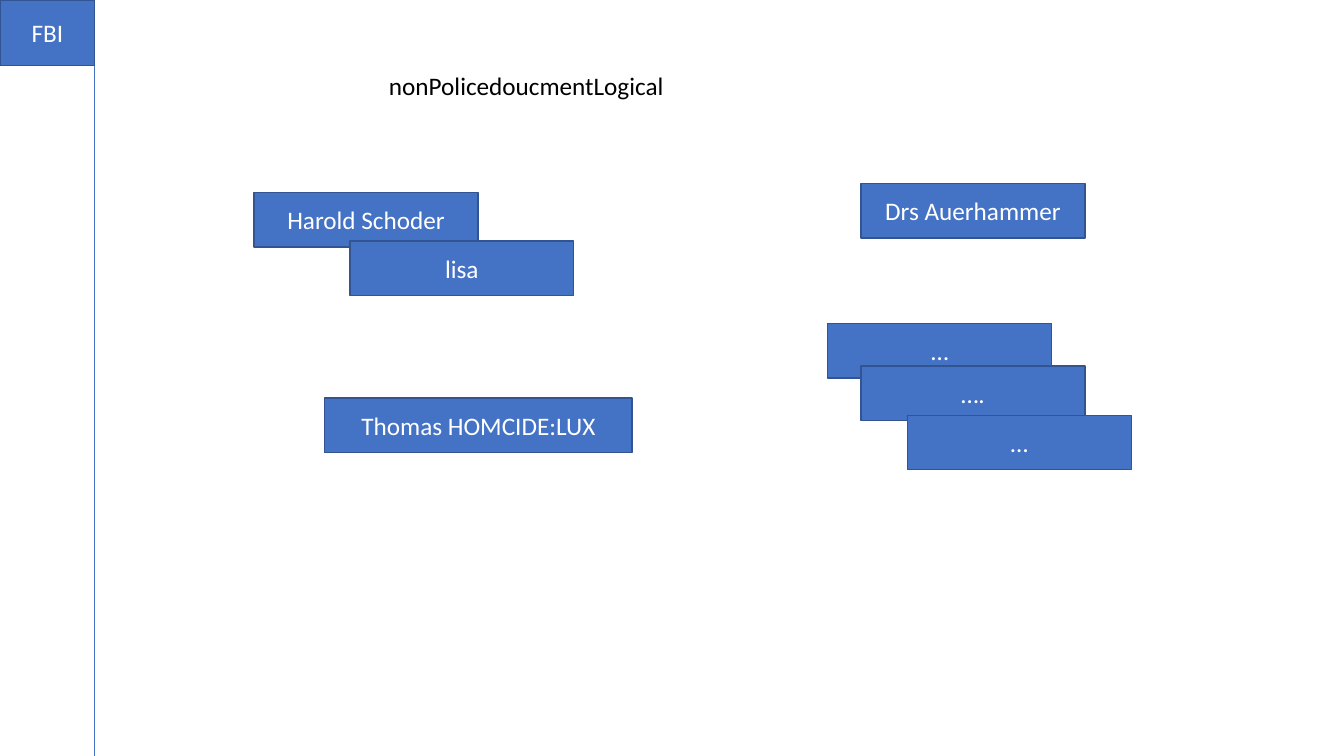
from pptx import Presentation
from pptx.dml.color import RGBColor as RGB
from pptx.enum.shapes import MSO_CONNECTOR as LINK, MSO_SHAPE as SHAPE
from pptx.enum.text import MSO_ANCHOR as ANCHOR, MSO_AUTO_SIZE as FIT, PP_ALIGN as ALIGN
from pptx.oxml.ns import qn
from pptx.util import Inches, Pt
from lxml.etree import SubElement

HUES = {"fill": "4472C4", "edge": "325491", "light": "FFFFFF", "dark": "000000"}
FONT = "Calibri"
CARD_W, CARD_H = 2.22, 0.54
SIDE_W, TAG_H = 0.94, 0.65

# Left, top, width and label of each card, from back to front
CARDS = [
    (8.54, 1.82, CARD_W, "Drs Auerhammer"),
    (2.52, 1.91, CARD_W, "Harold Schoder"),
    (3.22, 3.95, 3.05, "Thomas HOMCIDE:LUX"),
    (8.21, 3.21, CARD_W, "…"),
    (8.54, 3.63, CARD_W, "…."),
    (9, 4.12, CARD_W, "…"),
    (3.47, 2.39, CARD_W, "lisa"),
]


def hue(name):
    """Return the named colour."""
    return RGB.from_string(HUES[name])


def add_run(para, text, color):
    """Add one styled run to a paragraph."""
    run = para.add_run()
    run.text = text
    run.font.name = FONT
    run.font.size = Pt(18)
    run.font.color.rgb = hue(color)


def add_box(slide, left, top, width, height, text):
    """Add a filled box with a centred label."""
    box = slide.shapes.add_shape(SHAPE.RECTANGLE, Inches(left), Inches(top),
                                 Inches(width), Inches(height))
    box.shadow.inherit = False
    box.fill.solid()
    box.fill.fore_color.rgb = hue("fill")
    box.line.color.rgb = hue("edge")
    box.line.width = Pt(1)
    frame = box.text_frame
    frame.word_wrap = True
    frame.vertical_anchor = ANCHOR.MIDDLE
    para = frame.paragraphs[0]
    para.alignment = ALIGN.CENTER
    add_run(para, text, "light")


def add_rule(slide, left, start, end):
    """Add a thin upright line."""
    rule = slide.shapes.add_connector(LINK.STRAIGHT, Inches(left), Inches(start),
                                      Inches(left), Inches(end))
    rule.line.color.rgb = hue("fill")
    rule.line.width = Pt(0.5)
    SubElement(rule._element.spPr, qn("a:effectLst"))


def add_title(slide, left, top, width, height, text):
    """Add the heading as a text box on one line."""
    box = slide.shapes.add_textbox(Inches(left), Inches(top),
                                   Inches(width), Inches(height))
    frame = box.text_frame
    frame.word_wrap = False
    frame.auto_size = FIT.SHAPE_TO_FIT_TEXT
    add_run(frame.paragraphs[0], text, "dark")


def main():
    """Build and save the slide."""
    deck = Presentation()
    deck.slide_width, deck.slide_height = Inches(13.33), Inches(7.5)
    slide = deck.slides.add_slide(deck.slide_layouts[6])
    add_box(slide, 0, 0, SIDE_W, TAG_H, "FBI")
    add_rule(slide, SIDE_W, 7.5, TAG_H)
    add_title(slide, 3.76, 0.65, 2.96, 0.4, "nonPolicedoucmentLogical")
    for left, top, width, text in CARDS:
        add_box(slide, left, top, width, CARD_H, text)
    deck.save("out.pptx")


main()
